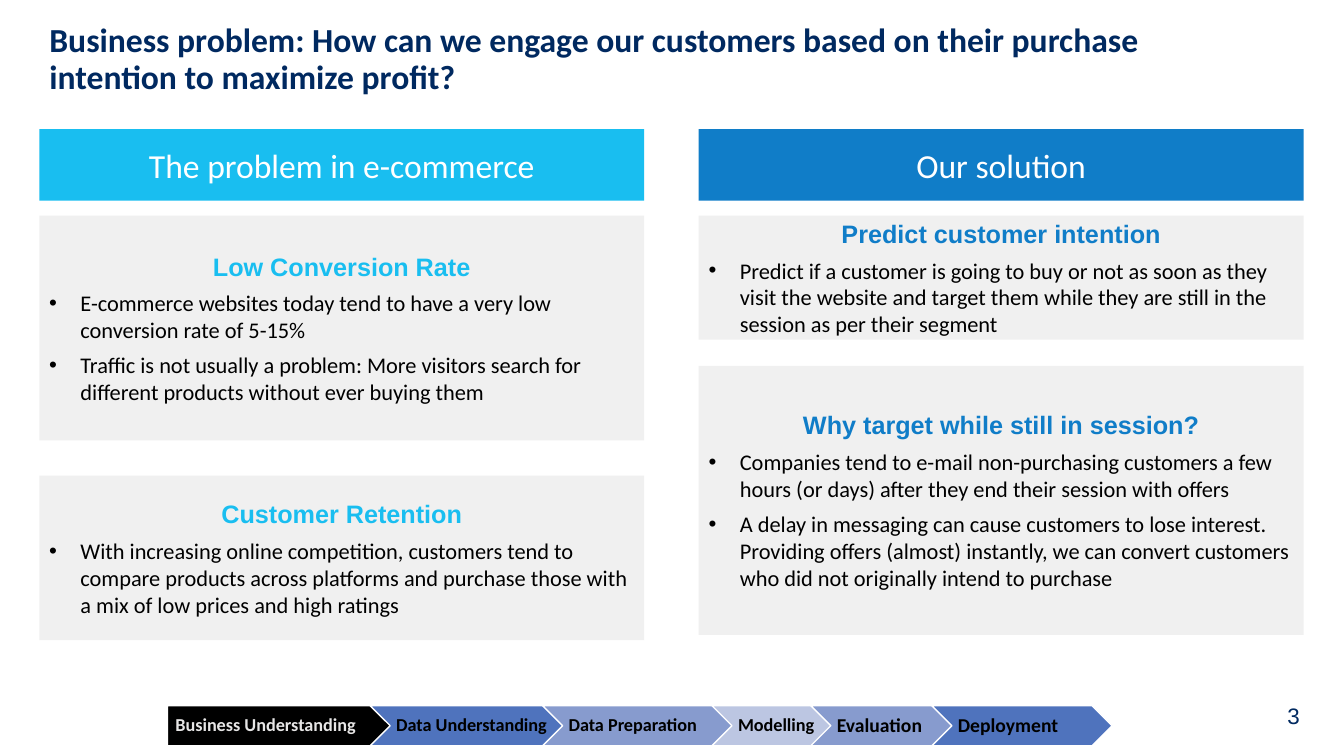
from dataclasses import dataclass

from lxml import etree
from pptx import Presentation
from pptx.dml.color import RGBColor
from pptx.enum.shapes import MSO_SHAPE
from pptx.enum.text import MSO_ANCHOR, MSO_AUTO_SIZE, PP_ALIGN
from pptx.oxml.ns import qn
from pptx.util import Inches, Pt

RECTANGLE = MSO_SHAPE.RECTANGLE
PENTAGON = MSO_SHAPE.PENTAGON
CHEVRON = MSO_SHAPE.CHEVRON
MIDDLE = MSO_ANCHOR.MIDDLE
NO_FIT = MSO_AUTO_SIZE.NONE
LEFT, CENTER, RIGHT = PP_ALIGN.LEFT, PP_ALIGN.CENTER, PP_ALIGN.RIGHT


@dataclass(frozen=True)
class Theme:
    navy: str = "002960"
    cyan: str = "19BEF0"
    blue: str = "107DC8"
    panel: str = "F0F0F0"
    white: str = "FFFFFF"
    black: str = "000000"
    pale: str = "E7E6E6"
    step_dark: str = "4F73BD"
    step_mid: str = "879BCE"
    step_light: str = "BCC6E2"
    body_font: str = "Calibri"
    head_font: str = "Arial"
    title_size: int = 24
    head_size: int = 18
    body_size: int = 16
    step_size: int = 13
    last_step_size: int = 14


THEME = Theme()

PROBLEM_CARDS = [
    (2.14, 2.23, "Low Conversion Rate", [
        "E-commerce websites today tend to have a very low conversion rate of 5-15%",
        "Traffic is not usually a problem: More visitors search for different products "
        "without ever buying them",
    ]),
    (4.72, 1.63, "Customer Retention", [
        "With increasing online competition, customers tend to compare products across "
        "platforms and purchase those with a mix of low prices and high ratings",
    ]),
]
SOLUTION_CARDS = [
    (2.14, 1.23, "Predict customer intention", [
        "Predict if a customer is going to buy or not as soon as they visit the website "
        "and target them while they are still in the session as per their segment",
    ]),
    (3.63, 2.67, "Why target while still in session?", [
        "Companies tend to e-mail non-purchasing customers a few hours (or days) after "
        "they end their session with offers",
        "A delay in messaging can cause customers to lose interest. Providing offers "
        "(almost) instantly, we can convert customers who did not originally intend to purchase",
    ]),
]
STEPS = [
    ("Business Understanding", 2.51, THEME.black, THEME.pale, THEME.step_size),
    ("Data Understanding", 2.21, THEME.step_dark, THEME.black, THEME.step_size),
    ("Data Preparation", 2.18, THEME.step_mid, THEME.black, THEME.step_size),
    ("Modelling", 1.48, THEME.step_light, THEME.black, THEME.step_size),
    ("Evaluation", 1.7, THEME.step_mid, THEME.black, THEME.last_step_size),
    ("Deployment", 1.79, THEME.step_dark, THEME.black, THEME.last_step_size),
]


def inches(*lengths):
    return [Inches(length) for length in lengths]


def add_span(para, text, size, color, font=THEME.body_font, bold=False):
    span = para.add_run()
    span.text = text
    span.font.size = Pt(size)
    span.font.name = font
    span.font.bold = bold
    span.font.color.rgb = RGBColor.from_string(color)


def prepare_frame(shape):
    frame = shape.text_frame
    frame.word_wrap = True
    frame.auto_size = NO_FIT
    frame.vertical_anchor = MIDDLE
    return frame


def add_block(page, kind, box, fill, line=None):
    shape = page.shapes.add_shape(kind, *inches(*box))
    shape.shadow.inherit = False
    shape.fill.solid()
    shape.fill.fore_color.rgb = RGBColor.from_string(fill)
    if line:
        shape.line.color.rgb = RGBColor.from_string(line)
        shape.line.width = Pt(1)
    else:
        shape.line.fill.background()
    return shape


def set_bullet(para):
    properties = para._p.get_or_add_pPr()
    properties.set("marL", str(Inches(0.31)))
    properties.set("indent", str(Inches(-0.31)))
    etree.SubElement(properties, qn("a:buFont")).set("typeface", THEME.head_font)
    etree.SubElement(properties, qn("a:buChar")).set("char", "•")


def add_title(page, box, text):
    title = page.shapes.title
    title.left, title.top, title.width, title.height = inches(*box)
    para = prepare_frame(title).paragraphs[0]
    para.alignment = LEFT
    para.line_spacing = 0.9
    add_span(para, text, THEME.title_size, THEME.navy, bold=True)


def add_banner(page, box, text, color):
    para = prepare_frame(add_block(page, RECTANGLE, box, color)).paragraphs[0]
    para.alignment = CENTER
    add_span(para, text, THEME.title_size, THEME.white)


def add_card(page, box, heading, points, color):
    frame = prepare_frame(add_block(page, RECTANGLE, box, THEME.panel))
    para = frame.paragraphs[0]
    para.alignment = CENTER
    para.space_after = Pt(6)
    add_span(para, heading, THEME.head_size, color, THEME.head_font, True)
    for point in points:
        para = frame.add_paragraph()
        para.alignment = LEFT
        para.space_after = Pt(6)
        set_bullet(para)
        add_span(para, point, THEME.body_size, THEME.black)


def add_column(page, left, width, heading, color, cards):
    add_banner(page, (left, 1.28, width, 0.71), heading, color)
    for top, height, card_heading, points in cards:
        add_card(page, (left, top, width, height), card_heading, points, color)


def add_process(page, left, top, height, overlap):
    for index, (label, width, fill, color, size) in enumerate(STEPS):
        first = index == 0
        add_block(page, PENTAGON if first else CHEVRON, (left, top, width, height), fill, THEME.white)
        notch = 0 if first else height / 2
        label_width = width - (0.1 if first else height)
        box = page.shapes.add_textbox(*inches(left + notch, top, label_width, height))
        frame = prepare_frame(box)
        frame.margin_left = Inches(0.08 if first else 0.06)
        frame.margin_right = Inches(0.02)
        frame.margin_top = frame.margin_bottom = Inches(0.04)
        para = frame.paragraphs[0]
        para.line_spacing = 0.9
        add_span(para, label, size, color, bold=True)
        left += width - overlap


def add_page_number(page, box, number):
    para = prepare_frame(page.shapes.add_textbox(*inches(*box))).paragraphs[0]
    para.alignment = RIGHT
    add_span(para, number, THEME.body_size, THEME.navy, THEME.head_font)


def main():
    deck = Presentation()
    deck.slide_width, deck.slide_height = inches(13.33, 7.5)
    page = deck.slides.add_slide(deck.slide_layouts[5])
    add_title(page, (0.39, 0, 12.15, 1.19),
              "Business problem: How can we engage our customers based on their "
              "purchase intention to maximize profit?")
    add_column(page, 0.39, 6, "The problem in e-commerce", THEME.cyan, PROBLEM_CARDS)
    add_column(page, 6.93, 6, "Our solution", THEME.blue, SOLUTION_CARDS)
    add_page_number(page, (11.68, 6.9, 1.31, 0.4), "3")
    add_process(page, 1.66, 7, 0.4, 0.5)
    deck.save("out.pptx")


if __name__ == "__main__":
    main()
